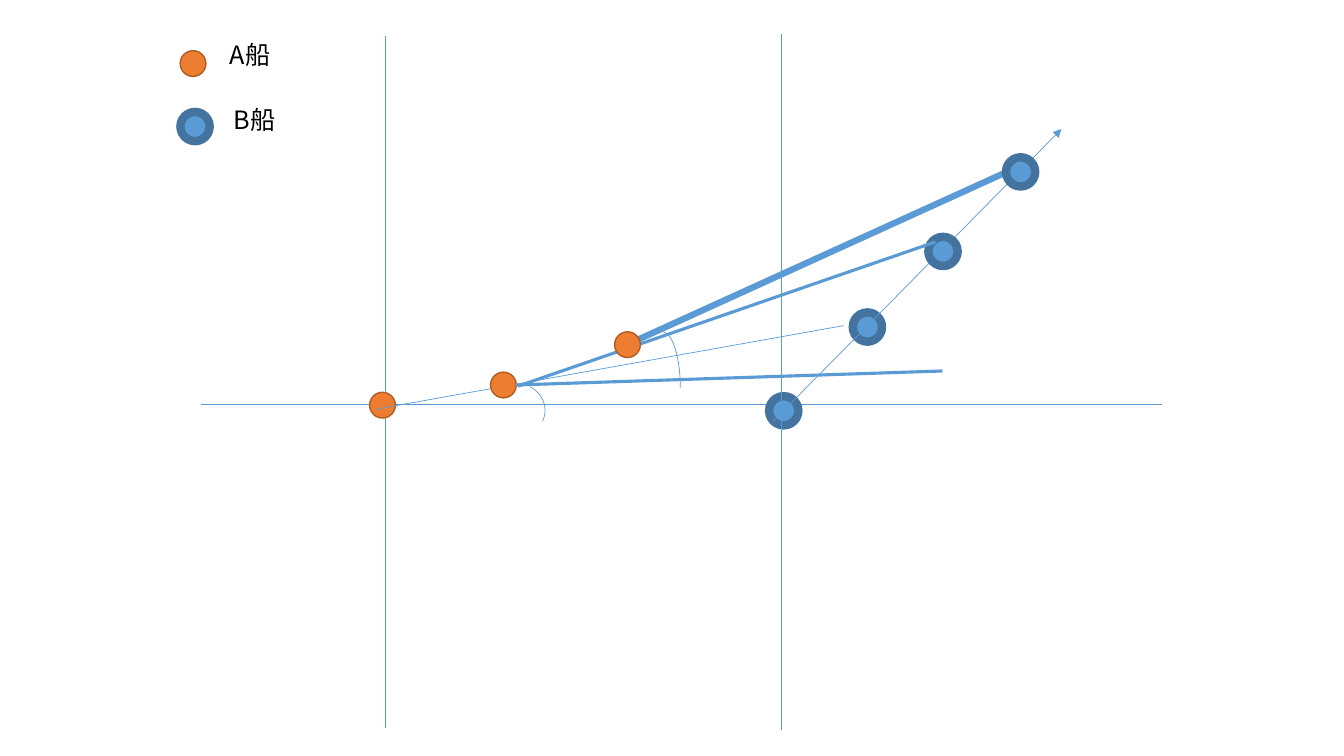
from lxml import etree
from pptx import Presentation
from pptx.dml.color import RGBColor
from pptx.enum.shapes import MSO_CONNECTOR, MSO_SHAPE
from pptx.enum.text import MSO_AUTO_SIZE
from pptx.oxml.ns import qn
from pptx.util import Pt

STRAIGHT = MSO_CONNECTOR.STRAIGHT
ELLIPSE = MSO_SHAPE.OVAL
ARC = MSO_SHAPE.ARC
FIT_SHAPE = MSO_AUTO_SIZE.SHAPE_TO_FIT_TEXT

FONT = "Noto Sans CJK SC"
COLORS = {
    "blue": "5B9BD5",
    "dark_blue": "43739E",
    "orange": "ED7D31",
    "dark_orange": "AF5C24",
    "black": "000000",
}
SHIPS = {
    "A": {"size": 18.4, "fill": "orange", "outline": "dark_orange", "weight": 1},
    "B": {"size": 20.9, "fill": "blue", "outline": "dark_blue", "weight": 6},
}


def color(name):
    """Return the named palette colour."""
    return RGBColor.from_string(COLORS[name])


def add_line(slide, box, start, end, weight=0.5, arrow=False):
    """Draw a blue line between two points given relative to the box."""
    left, top = box
    line = slide.shapes.add_connector(
        STRAIGHT, Pt(left + start[0]), Pt(top + start[1]),
        Pt(left + end[0]), Pt(top + end[1]))
    line.line.color.rgb = color("blue")
    line.line.width = Pt(weight)
    if arrow:
        etree.SubElement(line.line._get_or_add_ln(), qn("a:tailEnd"), type="triangle")
    etree.SubElement(line._element.spPr, qn("a:effectLst"))


def add_ship(slide, box, name, center):
    """Draw a ship marker centred on a point relative to the box."""
    style = SHIPS[name]
    size = style["size"]
    ship = slide.shapes.add_shape(
        ELLIPSE, Pt(box[0] + center[0] - size / 2),
        Pt(box[1] + center[1] - size / 2), Pt(size), Pt(size))
    ship.shadow.inherit = False
    ship.fill.solid()
    ship.fill.fore_color.rgb = color(style["fill"])
    ship.line.color.rgb = color(style["outline"])
    ship.line.width = Pt(style["weight"])


def add_angle(slide, box, corner, size, rotation=0):
    """Draw a thin angle arc placed relative to the box."""
    angle = slide.shapes.add_shape(
        ARC, Pt(box[0] + corner[0]), Pt(box[1] + corner[1]), Pt(size[0]), Pt(size[1]))
    angle.shadow.inherit = False
    angle.rotation = rotation
    angle.fill.background()
    angle.line.color.rgb = color("blue")
    angle.line.width = Pt(0.5)


def add_label(slide, box, text, corner, size=18, ink="black"):
    """Write one line of text placed relative to the box."""
    label = slide.shapes.add_textbox(
        Pt(box[0] + corner[0]), Pt(box[1] + corner[1]), Pt(100.8), Pt(39.6))
    frame = label.text_frame
    frame.word_wrap = True
    frame.auto_size = FIT_SHAPE
    run = frame.paragraphs[0].add_run()
    run.text = text
    run.font.size = Pt(size)
    run.font.name = FONT
    run.font.color.rgb = color(ink)
    etree.SubElement(run.font._element, qn("a:ea"), typeface=FONT)


def draw_encounter(slide, box):
    """Draw the axes, both courses, the bearings and the ship positions."""
    a_positions = [(129.9, 264.9), (216.3, 250.5), (304.9, 221.7)]
    b_positions = [(416.5, 268.9), (476.3, 209.1), (530.3, 155.1), (585.7, 98.3)]

    add_line(slide, box, (304.5, 221.7), (575.3, 98.6), weight=4.5)
    add_line(slide, box, (0, 264.2), (686.9, 264.2))
    add_line(slide, box, (131.7, 495.3), (131.7, 1.4))
    add_ship(slide, box, "A", a_positions[0])
    add_ship(slide, box, "B", b_positions[0])
    add_line(slide, box, (414.7, 496.8), (414.7, 0))
    add_ship(slide, box, "B", b_positions[1])
    add_line(slide, box, (408.9, 276.5), (614.9, 67.7), arrow=True)
    add_angle(slide, box, (208.1, 249.8), (38.2, 36), rotation=26.9)
    add_line(slide, box, (125.3, 267.8), (459.3, 208.1))
    add_ship(slide, box, "B", b_positions[2])
    add_ship(slide, box, "A", a_positions[1])
    add_line(slide, box, (226.8, 251.3), (524.9, 148.3), weight=2.25)
    add_line(slide, box, (225.3, 250.5), (529.9, 240.5), weight=2.25)
    add_angle(slide, box, (316.8, 212.4), (25.9, 79.9))
    add_ship(slide, box, "A", a_positions[2])
    add_ship(slide, box, "B", b_positions[3])


def draw_legend(slide, box):
    """Draw the key that names the two ships."""
    entries = [("A", (9, 20.9), (28.1, 0)), ("B", (10.4, 65.9), (30.9, 46.1))]
    for name, center, corner in entries:
        add_ship(slide, box, name, center)
        add_label(slide, box, f"{name}船", corner)


def main():
    """Build and save the slide."""
    deck = Presentation()
    deck.slide_width, deck.slide_height = Pt(960), Pt(540)
    slide = deck.slides.add_slide(deck.slide_layouts[6])
    draw_encounter(slide, (143.3, 24.5))
    draw_legend(slide, (128.9, 24.5))
    deck.save("out.pptx")


if __name__ == "__main__":
    main()
